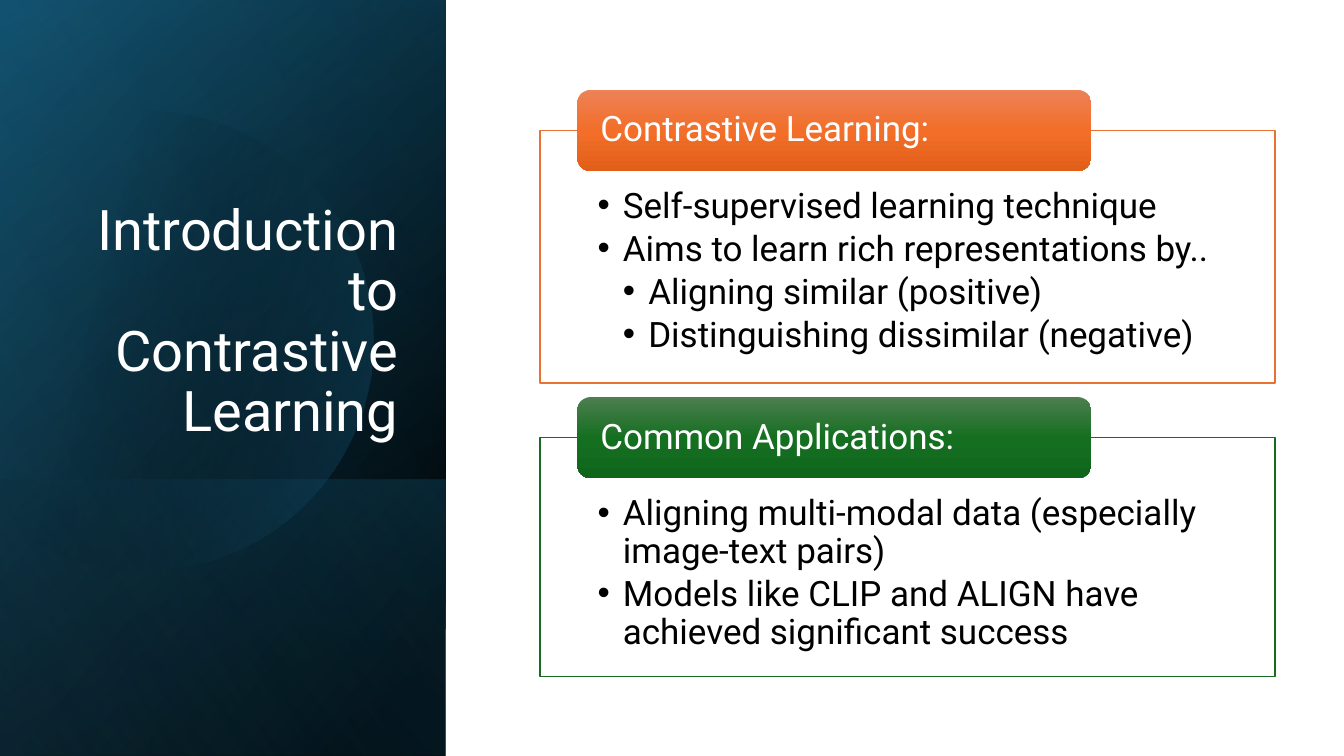
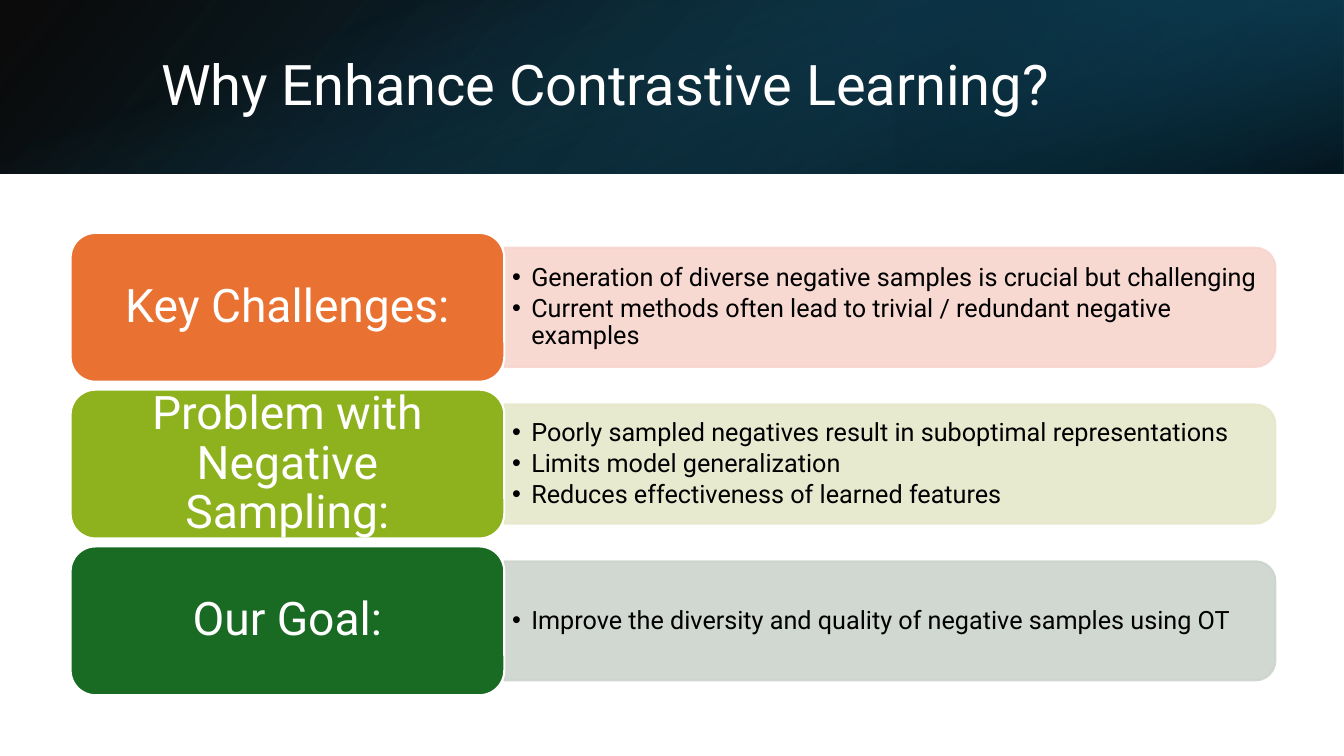
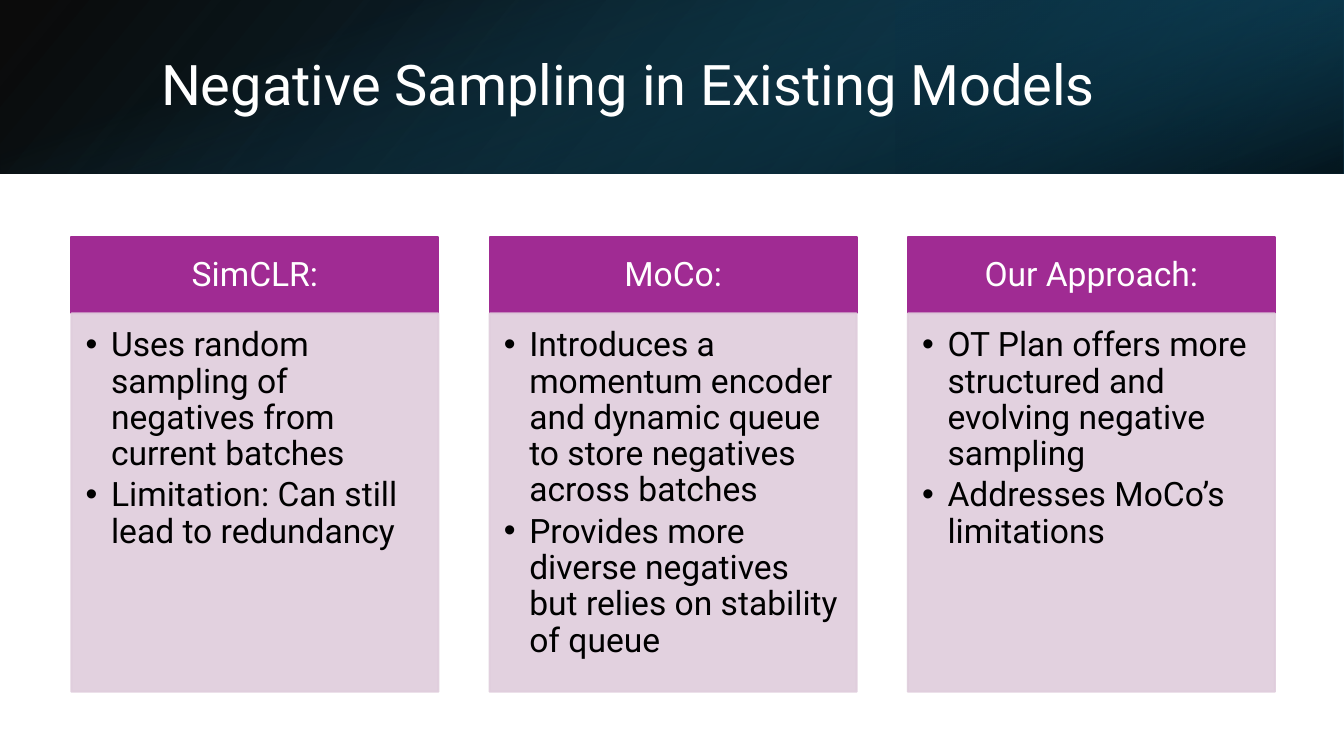
import math

from lxml import etree
from pptx import Presentation
from pptx import util as u
from pptx.dml.color import RGBColor
from pptx.enum import shapes, text
from pptx.oxml.ns import qn

FONT = "Roboto"
PAGE_WIDTH, PAGE_HEIGHT = 33.87, 19.05
SIDE_WIDTH = 11.23
BAND_HEIGHT = 4.37
COLORS = {
    "white": "FFFFFF", "black": "000000",
    "navy": "104862", "teal": "156082", "deep": "0B3041", "sky": "46B1E1",
    "orange": "E97132", "orange top": "ED8257", "orange middle": "F26E29",
    "orange bottom": "E25F1A", "pale orange": "F7D5CE",
    "green": "196B24", "green top": "4D7E50", "green middle": "156F21",
    "green bottom": "0F661B", "pale green": "CCD4CD",
    "lime": "8EB21E", "pale lime": "E5E8CA",
    "purple": "A02B93", "pale purple": "DFCDDC",
}
KINDS = shapes.MSO_SHAPE
ALIGN = text.PP_ALIGN
ANCHOR = text.MSO_ANCHOR


def rgb(name):
    return RGBColor.from_string(COLORS[name])


def set_alpha(parent, alpha):
    """Give the solid colour below parent an opacity in percent."""
    color = parent.find(qn("a:solidFill")).find(qn("a:srgbClr"))
    etree.SubElement(color, qn("a:alpha")).set("val", str(alpha * 1000))


def fill_gradient(shape, stops, angle):
    """Stops are (position, colour, opacity), all numbers in percent."""
    shape.shadow.inherit = False
    shape.line.fill.background()
    shape.fill.background()
    gradient = etree.Element(qn("a:gradFill"), rotWithShape="1")
    stop_list = etree.SubElement(gradient, qn("a:gsLst"))
    for position, name, alpha in stops:
        stop = etree.SubElement(stop_list, qn("a:gs"), pos=str(position * 1000))
        color = etree.SubElement(stop, qn("a:srgbClr"), val=COLORS[name])
        etree.SubElement(color, qn("a:alpha"), val=str(alpha * 1000))
    etree.SubElement(gradient, qn("a:lin"), ang=str(round(angle * 60000)), scaled="0")
    properties = shape._element.spPr
    properties.replace(properties.find(qn("a:noFill")), gradient)


def add_box(page, kind, left, top, width, height, turn=0, flip=False):
    """Add a shape that covers the given area once it has been turned."""
    if turn == 90:
        left, top = left + (width - height) / 2, top + (height - width) / 2
        width, height = height, width
    box = page.shapes.add_shape(kind, u.Cm(left), u.Cm(top), u.Cm(width), u.Cm(height))
    box.rotation = turn
    box.shadow.inherit = False
    if flip:
        box._element.spPr.find(qn("a:xfrm")).set("flipH", "1")
    return box


def fill_solid(box, fill, line, weight, alpha=100):
    box.fill.solid()
    box.fill.fore_color.rgb = rgb(fill)
    box.line.color.rgb = rgb(line)
    box.line.width = u.Pt(weight)
    if alpha < 100:
        set_alpha(box._element.spPr, alpha)
        set_alpha(box._element.spPr.find(qn("a:ln")), alpha)


def add_text_box(page, left, top, width, height):
    return page.shapes.add_textbox(u.Cm(left), u.Cm(top), u.Cm(width), u.Cm(height))


def prepare_frame(box, anchor, insets):
    frame = box.text_frame
    frame.word_wrap = True
    frame.vertical_anchor = anchor
    (frame.margin_left, frame.margin_top,
     frame.margin_right, frame.margin_bottom) = map(u.Cm, insets)
    return frame


def style_paragraph(para, size, color, align=ALIGN.LEFT):
    para.alignment = align
    para.line_spacing = 0.9
    for span in para.runs:
        span.font.name = FONT
        span.font.size = u.Pt(size)
        span.font.color.rgb = rgb(color)


def write_label(box, label, size, anchor, align, insets):
    frame = prepare_frame(box, anchor, insets)
    frame.text = label
    style_paragraph(frame.paragraphs[0], size, "white", align)


def write_bullets(box, items, size, indent, anchor, insets):
    """Items are strings, or (string, level) for deeper levels."""
    frame = prepare_frame(box, anchor, insets)
    for number, item in enumerate(items):
        words, level = item if isinstance(item, tuple) else (item, 1)
        para = frame.add_paragraph() if number else frame.paragraphs[0]
        para.text = words
        properties = para._p.get_or_add_pPr()
        properties.set("marL", str(u.Cm(indent * level)))
        properties.set("indent", str(-u.Cm(indent)))
        etree.SubElement(properties, qn("a:buFont"), typeface="Arial")
        etree.SubElement(properties, qn("a:buChar"), char="•")
        style_paragraph(para, size, "black")
        para.space_after = u.Pt(size * 0.15)


def add_title(page, title, left, top, width, height, anchor, align):
    box = add_text_box(page, left, top, width, height)
    write_label(box, title, 40, anchor, align, (0.25, 0.13, 0.25, 0.13))


def add_layer(page, area, stops, angle, turn, flip=True):
    fill_gradient(add_box(page, KINDS.RECTANGLE, *area, turn, flip), stops, angle)


def add_disc(page):
    """Draw the pale disc that the left page edge cuts off."""
    center_x, center_y, radius = 3.63, 8.59, 5.79
    limit = math.acos(-center_x / radius)
    steps = 90
    angles = [limit * (2 * step / steps - 1) for step in range(steps + 1)]
    points = [(u.Cm(center_x + radius * math.cos(angle)),
               u.Cm(center_y + radius * math.sin(angle))) for angle in angles]
    builder = page.shapes.build_freeform(*points[0])
    builder.add_line_segments(points[1:], close=True)
    fill_gradient(builder.convert_to_shape(),
                  [(29, "black", 0), (100, "teal", 43)], 13.9)


def add_side_panel(page, title):
    side = (0, 0, SIDE_WIDTH, PAGE_HEIGHT)
    foot = (0, 12.09, SIDE_WIDTH, PAGE_HEIGHT - 12.09)
    add_layer(page, side, [(8, "black", 100), (100, "navy", 100)], 50, 90)
    add_layer(page, side, [(0, "black", 0), (99, "teal", 46)], 30, 90)
    add_layer(page, foot, [(2, "teal", 29), (100, "black", 30)], 130, 90)
    add_disc(page)
    add_layer(page, side, [(0, "black", 0), (99, "sky", 11)], 120, 90)
    add_title(page, title, 1.63, 4.67, 8.66, 6.65, ANCHOR.BOTTOM, ALIGN.RIGHT)


def add_top_band(page, title):
    band = (0, 0, PAGE_WIDTH, BAND_HEIGHT)
    right_third = (PAGE_WIDTH * 2 / 3, 0, PAGE_WIDTH / 3, BAND_HEIGHT)
    add_layer(page, band, [(0, "black", 96), (100, "navy", 100)], 140, 0)
    add_layer(page, right_third, [(19, "deep", 68), (100, "teal", 79)], 320, 180)
    add_layer(page, band, [(23, "teal", 0), (99, "black", 74)], 340, 90, flip=False)
    add_title(page, title, 3.81, 0.97, 27.89, 2.44, ANCHOR.MIDDLE, ALIGN.LEFT)


def add_framed_list(page, top, height, color, heading, items):
    frame = add_box(page, KINDS.RECTANGLE, 13.61, top, 18.52, height)
    fill_solid(frame, "white", color, 1)
    write_bullets(frame, items, 25, 0.64, ANCHOR.TOP, (1.45, 1.45, 1.45, 0.48))
    tab_height = 2.05
    tab = add_box(page, KINDS.ROUNDED_RECTANGLE, 14.55, top - tab_height / 2,
                  12.95, tab_height)
    fill_gradient(tab, [(0, color + " top", 100), (50, color + " middle", 100),
                        (100, color + " bottom", 100)], 90)
    write_label(tab, heading, 25, ANCHOR.MIDDLE, ALIGN.LEFT, (0.48, 0, 0.48, 0))


def add_row(page, top, color, heading, items):
    label_height, panel_height = 3.75, 3
    panel_top = top + (label_height - panel_height) / 2
    panel = add_box(page, KINDS.ROUND_2_SAME_RECTANGLE, 12.71, panel_top,
                    19.43, panel_height, turn=90)
    fill_solid(panel, "pale " + color, "pale " + color, 1.5, 90)
    bullets = add_text_box(page, 12.73, panel_top, 19.28, panel_height)
    write_bullets(bullets, items, 18, 0.48, ANCHOR.MIDDLE, (0.18, 0.1, 0.18, 0.1))
    label = add_box(page, KINDS.ROUNDED_RECTANGLE, 1.78, top, 10.93, label_height)
    fill_solid(label, color, "white", 1.5)
    write_label(label, heading, 33, ANCHOR.MIDDLE, ALIGN.CENTER,
                (0.36, 0.18, 0.36, 0.18))


def add_column(page, left, heading, items):
    top, width, head_height = 5.97, 9.25, 1.93
    head = add_box(page, KINDS.RECTANGLE, left, top, width, head_height)
    fill_solid(head, "purple", "purple", 1.5)
    write_label(head, heading, 24, ANCHOR.MIDDLE, ALIGN.CENTER,
                (0.48, 0.28, 0.48, 0.28))
    body = add_box(page, KINDS.RECTANGLE, left, top + head_height, width, 9.53)
    fill_solid(body, "pale purple", "pale purple", 1.5, 90)
    write_bullets(body, items, 24, 0.64, ANCHOR.TOP, (0.36, 0.36, 0.48, 0.53))


def build_introduction(page):
    add_side_panel(page, "Introduction to Contrastive Learning")
    add_framed_list(page, 3.29, 6.36, "orange", "Contrastive Learning:", [
        "Self-supervised learning technique",
        "Aims to learn rich representations by..",
        ("Aligning similar (positive)", 2),
        ("Distinguishing dissimilar (negative)", 2),
    ])
    add_framed_list(page, 11.03, 6.02, "green", "Common Applications:", [
        "Aligning multi-modal data (especially image-text pairs)",
        "Models like CLIP and ALIGN have achieved significant success",
    ])


def build_motivation(page):
    add_top_band(page, "Why Enhance Contrastive Learning?")
    rows = [
        ("orange", "Key Challenges:", [
            "Generation of diverse negative samples is crucial but challenging",
            "Current methods often lead to trivial / redundant negative examples",
        ]),
        ("lime", "Problem with Negative Sampling:", [
            "Poorly sampled negatives result in suboptimal representations",
            "Limits model generalization",
            "Reduces effectiveness of learned features",
        ]),
        ("green", "Our Goal:", [
            "Improve the diversity and quality of negative samples using OT",
        ]),
    ]
    for number, row in enumerate(rows):
        add_row(page, 5.87 + 3.95 * number, *row)


def build_comparison(page):
    add_top_band(page, "Negative Sampling in Existing Models")
    columns = [
        ("SimCLR:", [
            "Uses random sampling of negatives from current batches",
            "Limitation: Can still lead to redundancy",
        ]),
        ("MoCo:", [
            "Introduces a momentum encoder and dynamic queue to store "
            "negatives across batches",
            "Provides more diverse negatives but relies on stability of queue",
        ]),
        ("Our Approach:", [
            "OT Plan offers more structured and evolving negative sampling",
            "Addresses MoCo’s limitations",
        ]),
    ]
    for number, column in enumerate(columns):
        add_column(page, 1.8 + 10.54 * number, *column)


def main():
    deck = Presentation()
    deck.slide_width, deck.slide_height = u.Cm(PAGE_WIDTH), u.Cm(PAGE_HEIGHT)
    for build in (build_introduction, build_motivation, build_comparison):
        build(deck.slides.add_slide(deck.slide_layouts[6]))
    deck.save("out.pptx")


if __name__ == "__main__":
    main()
